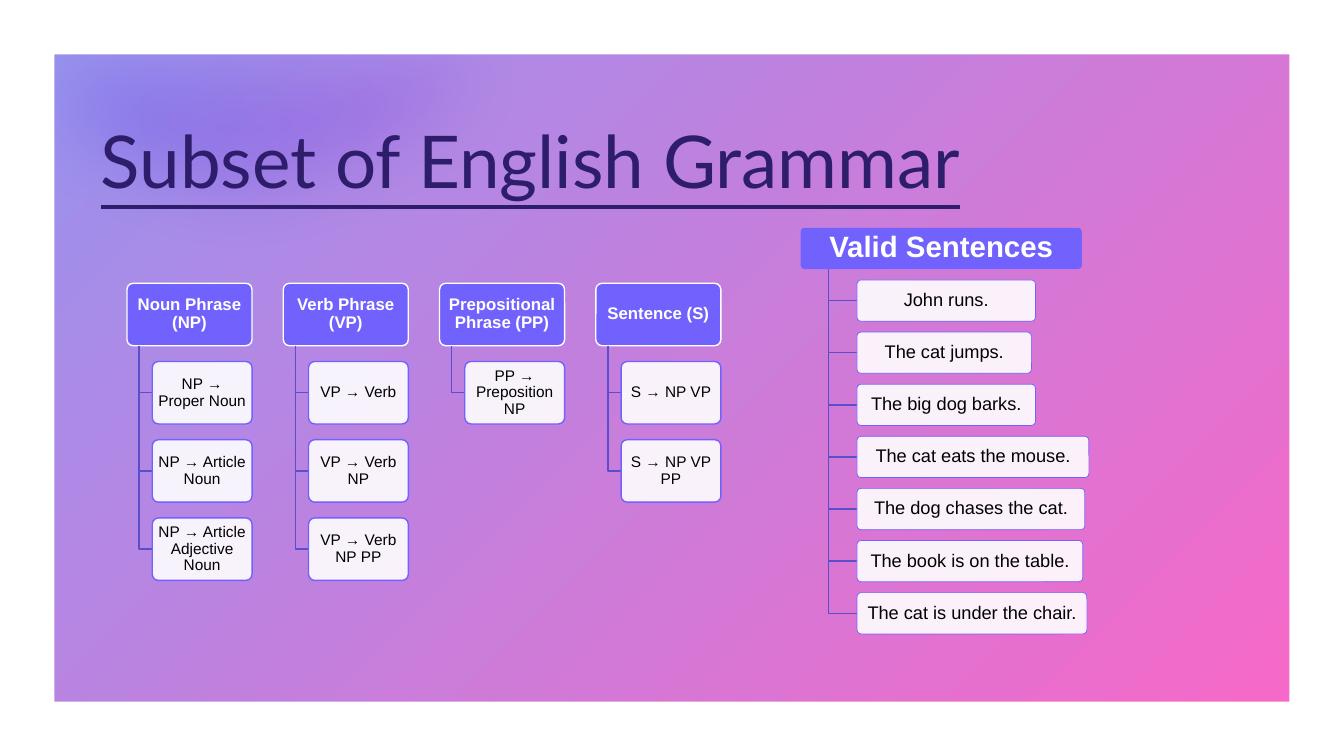
import lxml.etree
import pptx
import pptx.dml.color
import pptx.enum.shapes
import pptx.enum.text
import pptx.oxml.ns
import pptx.util

TITLE = "Subset of English Grammar"
RULES = [
    ("Noun Phrase (NP)", ["NP → Proper Noun", "NP → Article Noun", "NP → Article Adjective Noun"]),
    ("Verb Phrase (VP)", ["VP → Verb", "VP → Verb NP", "VP → Verb NP PP"]),
    ("Prepositional Phrase (PP)", ["PP → Preposition NP"]),
    ("Sentence (S)", ["S → NP VP", "S → NP VP PP"]),
]
SENTENCES = [
    ("John runs.", 1.77),
    ("The cat jumps.", 1.73),
    ("The big dog barks.", 1.77),
    ("The cat eats the mouse.", 2.3),
    ("The dog chases the cat.", 2.26),
    ("The book is on the table.", 2.24),
    ("The cat is under the chair.", 2.28),
]
COLORS = {
    "white": "FFFFFF", "black": "000000", "title": "2E1D6A", "violet": "7162FE",
    "branch": "5A4ECB", "blue": "9495F0", "pink": "FB66C6",
    "glow_start": "4D4EE6", "glow_end": "A030D0",
}
RULE_STYLE = {
    "width": 1.24, "height": 0.62, "pitch": 0.776, "trunk": 0.12, "indent": 0.25,
    "head_size": 12, "leaf_size": 11, "leaf_line": 1, "head_line": "white",
    "head_inset": 0.05, "leaf_inset": 0.03,
}
SENTENCE_STYLE = {
    "width": 2.79, "height": 0.41, "pitch": 0.517, "trunk": 0.28, "indent": 0.56,
    "head_size": 21, "leaf_size": 13, "leaf_line": 0.5, "head_line": None,
    "head_inset": 0.05, "leaf_inset": 0.04,
}
RULES_LEFT, RULES_TOP, RULES_PITCH = 1.26, 2.81, 1.55
SENTENCES_LEFT, SENTENCES_TOP = 7.94, 2.26
GLOW_START = (0.04, 0.01)
GLOW_CURVES = [
    ((6.29, 0.15), (6.08, 0.59), (5.79, 1.01), (5.42, 1.38)),
    ((5.42, 1.38), (4, 2.81), (1.83, 3.03), (0.17, 2.05)),
]
GLOW_STEPS = 12

inch = pptx.util.Inches
preset = pptx.enum.shapes.MSO_SHAPE
qn = pptx.oxml.ns.qn

deck = pptx.Presentation()
deck.slide_width, deck.slide_height = inch(13.33), inch(7.5)
page = deck.slides.add_slide(deck.slide_layouts[5])


def color(name):
    return pptx.dml.color.RGBColor.from_string(COLORS[name])


def set_line(shape, name, width=1):
    if name is None:
        shape.line.fill.background()
    else:
        shape.line.color.rgb = color(name)
        shape.line.width = pptx.util.Pt(width)


def set_solid(shape, name):
    shape.fill.solid()
    shape.fill.fore_color.rgb = color(name)


def set_gradient(shape, first, last, angle):
    shape.fill.gradient()
    shape.fill.gradient_angle = angle
    for stop, name in zip(shape.fill.gradient_stops, (first, last)):
        stop.color.rgb = color(name)


def set_opacity(shape, percent):
    for tint in shape.element.spPr.iter(qn("a:srgbClr")):
        lxml.etree.SubElement(tint, qn("a:alpha"), val=str(percent * 1000))


def add_outline(points, closed):
    dots = [(inch(x), inch(y)) for x, y in points]
    builder = page.shapes.build_freeform(*dots[0])
    builder.add_line_segments(dots[1:], close=closed)
    shape = builder.convert_to_shape()
    shape.shadow.inherit = False
    return shape


def curve_points(a, b, c, d):
    for step in range(GLOW_STEPS + 1):
        t = step / GLOW_STEPS
        weights = ((1 - t) ** 3, 3 * t * (1 - t) ** 2, 3 * t * t * (1 - t), t ** 3)
        yield tuple(sum(w * p[axis] for w, p in zip(weights, (a, b, c, d))) for axis in (0, 1))


def write(frame, text, size, font, name, bold=False, underline=False):
    frame.word_wrap = True
    frame.auto_size = pptx.enum.text.MSO_AUTO_SIZE.NONE
    frame.vertical_anchor = pptx.enum.text.MSO_ANCHOR.MIDDLE
    para = frame.paragraphs[0]
    para.line_spacing = 0.9
    span = para.add_run()
    span.text = text
    span.font.size = pptx.util.Pt(size)
    span.font.name = font
    span.font.bold = bold
    span.font.underline = underline
    span.font.color.rgb = color(name)
    return para


def add_node(left, top, width, height, text, size, inset, fill, ink, bold):
    box = page.shapes.add_shape(preset.ROUNDED_RECTANGLE, inch(left), inch(top), inch(width), inch(height))
    box.adjustments[0] = 0.1
    box.shadow.inherit = False
    set_solid(box, fill)
    frame = box.text_frame
    frame.margin_left = frame.margin_right = inch(inset)
    frame.margin_top = frame.margin_bottom = inch(0.03)
    para = write(frame, text, size, "Arial", ink, bold)
    para.alignment = pptx.enum.text.PP_ALIGN.CENTER
    return box


def add_tree(left, top, heading, leaves, style):
    height = style["height"]
    head = add_node(left, top, style["width"], height, heading, style["head_size"],
                    style["head_inset"], "violet", "white", True)
    set_line(head, style["head_line"])
    trunk, leaf_left = left + style["trunk"], left + style["indent"]
    for row, (text, width) in enumerate(leaves, 1):
        leaf_top = top + row * style["pitch"]
        middle = leaf_top + height / 2
        branch = add_outline([(trunk, top + height), (trunk, middle), (leaf_left, middle)], False)
        branch.fill.background()
        set_line(branch, "branch")
        leaf = add_node(leaf_left, leaf_top, width, height, text, style["leaf_size"],
                        style["leaf_inset"], "white", "black", False)
        set_opacity(leaf, 90)
        set_line(leaf, "violet", style["leaf_line"])


def add_backdrop(kind):
    shape = page.shapes.add_shape(kind, 0, 0, deck.slide_width, deck.slide_height)
    shape.shadow.inherit = False
    set_line(shape, None)
    return shape


def add_glow():
    points = [GLOW_START, (6.35, 0.01)]
    for curve in GLOW_CURVES:
        points.extend(curve_points(*curve))
    points.append((0.04, 1.96))
    glow = add_outline(points, True)
    set_gradient(glow, "glow_start", "glow_end", 0)
    set_opacity(glow, 30)
    set_line(glow, None)
    effects = glow.element.spPr.find(qn("a:effectLst"))
    lxml.etree.SubElement(effects, qn("a:softEdge"), rad=str(inch(0.7)))


set_gradient(add_backdrop(preset.RECTANGLE), "blue", "pink", 315)
add_glow()
border = add_backdrop(preset.FRAME)
border.adjustments[0] = 0.072
set_solid(border, "white")

title = page.shapes.title
page.shapes.element.append(title.element)
title.left, title.top, title.width, title.height = (inch(n) for n in (0.9, 0.33, 9.2, 2.61))
heading = write(title.text_frame, TITLE, 52, "Lato", "title", underline=True)
heading.alignment = pptx.enum.text.PP_ALIGN.LEFT

leaf_width = RULE_STYLE["width"] - RULE_STYLE["indent"]
for column, (name, rules) in enumerate(RULES):
    add_tree(RULES_LEFT + column * RULES_PITCH, RULES_TOP, name,
             [(rule, leaf_width) for rule in rules], RULE_STYLE)
add_tree(SENTENCES_LEFT, SENTENCES_TOP, "Valid Sentences", SENTENCES, SENTENCE_STYLE)

deck.save("out.pptx")
